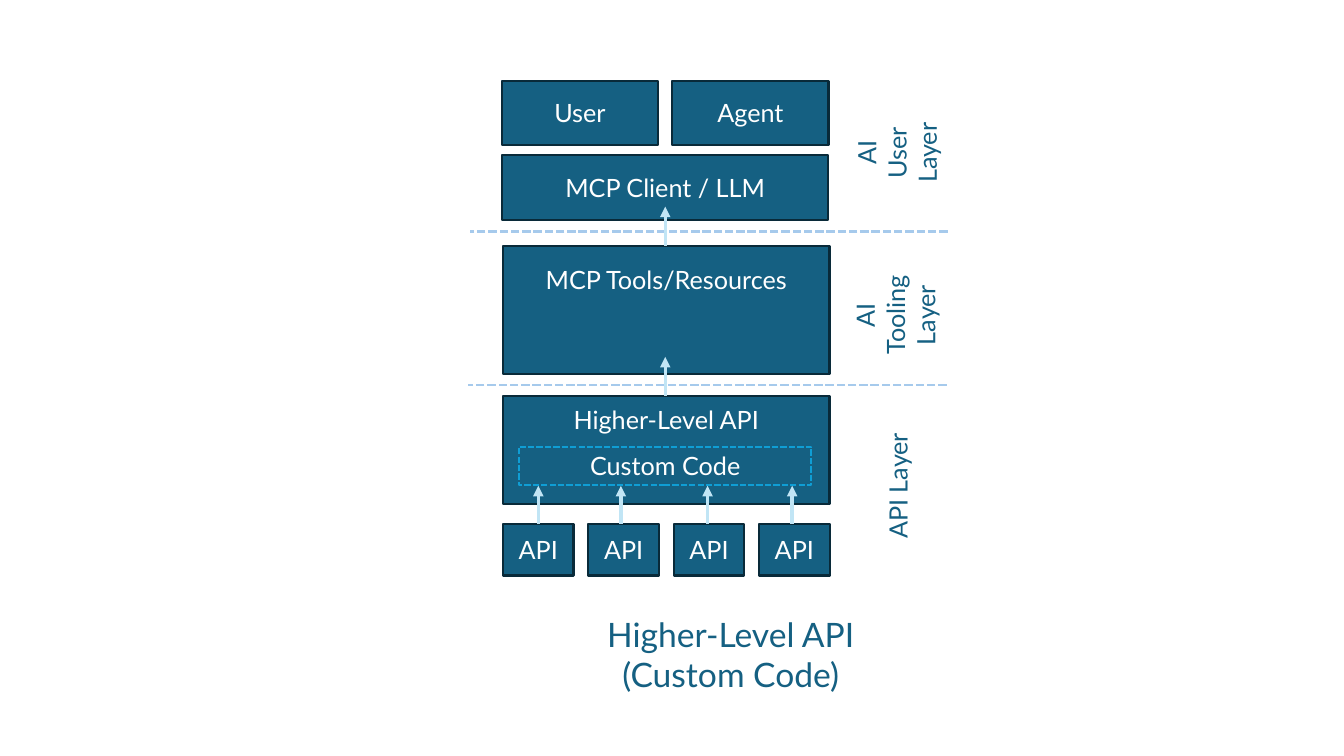
import dataclasses

import lxml.etree
import pptx
import pptx.dml.color
import pptx.enum.dml
import pptx.enum.shapes
import pptx.enum.text
import pptx.oxml.ns
import pptx.util

Pt = pptx.util.Pt
Anchor = pptx.enum.text.MSO_ANCHOR


def color(code):
    return pptx.dml.color.RGBColor.from_string(code)


# Theme: colours and type sizes
@dataclasses.dataclass(frozen=True)
class Theme:
    font: str = "Lato"
    blue: str = "156082"
    edge: str = "092A39"
    glow: str = "0F9ED5"
    split: str = "A6CAEC"
    arrow: str = "C1E5F5"
    white: str = "FFFFFF"
    label: float = 18
    title: float = 24


def write(frame, text, *, font, size, ink, anchor=Anchor.MIDDLE, wrap=True,
          top=3.6):
    """Fill a text frame with centred lines, one paragraph each."""
    frame.word_wrap = wrap
    frame.auto_size = pptx.enum.text.MSO_AUTO_SIZE.NONE
    frame.vertical_anchor = anchor
    frame.margin_top = Pt(top)
    frame.text = text
    for line in frame.paragraphs:
        line.alignment = pptx.enum.text.PP_ALIGN.CENTER
        for run in line.runs:
            run.font.name = font
            run.font.size = Pt(size)
            run.font.color.rgb = color(ink)


class Chart:
    """Holds the theme and the slide, and draws each kind of part."""

    def __init__(self, slide, theme):
        self.slide = slide
        self.theme = theme

    def stroke(self, line, ink, width, dash=False):
        line.color.rgb = color(ink)
        line.width = Pt(width)
        if dash:
            line.dash_style = pptx.enum.dml.MSO_LINE.SQUARE_DOT

    def title(self, text, *place):
        shape = self.slide.shapes.title
        shape.left, shape.top, shape.width, shape.height = map(Pt, place)
        write(shape.text_frame, text, font=self.theme.font,
              size=self.theme.title, ink=self.theme.blue, anchor=Anchor.TOP)

    def box(self, text, *place, edge=None, dash=False, **style):
        shape = self.slide.shapes.add_shape(
            pptx.enum.shapes.MSO_SHAPE.RECTANGLE, *map(Pt, place))
        shape.shadow.inherit = False
        shape.fill.solid()
        shape.fill.fore_color.rgb = color(self.theme.blue)
        self.stroke(shape.line, edge or self.theme.edge, 1.5, dash)
        write(shape.text_frame, text, font=self.theme.font,
              size=self.theme.label, ink=self.theme.white, **style)

    def label(self, text, *place):
        shape = self.slide.shapes.add_textbox(*map(Pt, place))
        shape.rotation = 270
        write(shape.text_frame, text, font=self.theme.font,
              size=self.theme.label, ink=self.theme.blue,
              anchor=Anchor.TOP, wrap=False)

    def line(self, ink, width, *ends, dash=False, head=False):
        link = self.slide.shapes.add_connector(
            pptx.enum.shapes.MSO_CONNECTOR.STRAIGHT, *map(Pt, ends))
        self.stroke(link.line, ink, width, dash)
        qn = pptx.oxml.ns.qn
        props = link._element.spPr
        if head:
            lxml.etree.SubElement(
                props.find(qn("a:ln")), qn("a:tailEnd"), type="triangle")
        lxml.etree.SubElement(props, qn("a:effectLst"))

    def split(self, left, right, y):
        self.line(self.theme.split, 2, right, y, left, y, dash=True)

    def arrow(self, x, low, high):
        self.line(self.theme.arrow, 2.5, x, low, x, high, head=True)


def main():
    deck = pptx.Presentation()
    deck.slide_width, deck.slide_height = Pt(960), Pt(540)
    theme = Theme()
    chart = Chart(deck.slides.add_slide(deck.slide_layouts[5]), theme)

    # Caption
    chart.title("Higher-Level API\n(Custom Code)", 358.5, 434.9, 326.9, 65.5)

    # Layer splits
    chart.split(334.1, 676.1, 275)
    chart.split(335.5, 676.8, 165.6)

    # User layer
    for text, left in (("User", 358.5), ("Agent", 480.2)):
        chart.box(text, left, 57.6, 111.6, 46.1)
    chart.box("MCP Client / LLM", 358.5, 110.9, 233.3, 46.1)

    # Tooling layer
    edge, width = 359.3, 233.3
    chart.box("MCP Tools/Resources", edge, 175.7, width, 91.4,
              anchor=Anchor.TOP, top=13.3)

    # API layer
    chart.box("Higher-Level API", edge, 283, width, 77,
              anchor=Anchor.TOP, top=6.1)
    chart.box("Custom Code", 370.8, 319, 208.8, 27.4,
              edge=theme.glow, dash=True)
    cell, base = 50.4, 374.4
    step = (width - cell) / 3
    for i in range(4):
        chart.box("API", edge + i * step, base, cell, 36.7)

    # Arrows
    for low in (175.7, 283):
        chart.arrow(475.2, low, low - 28.1)
    for x in (384.5, 443.5, 505.4, 565.9):
        chart.arrow(x, base, 347)

    # Layer names
    chart.label("AI\nUser\nLayer", 608.4, 72.7, 64.8, 72.7)
    chart.label("AI\nTooling\nLayer", 597.6, 188.6, 84.2, 72.7)
    chart.label("API Layer", 590.4, 332.6, 101.5, 28.8)

    deck.save("out.pptx")


if __name__ == "__main__":
    main()
